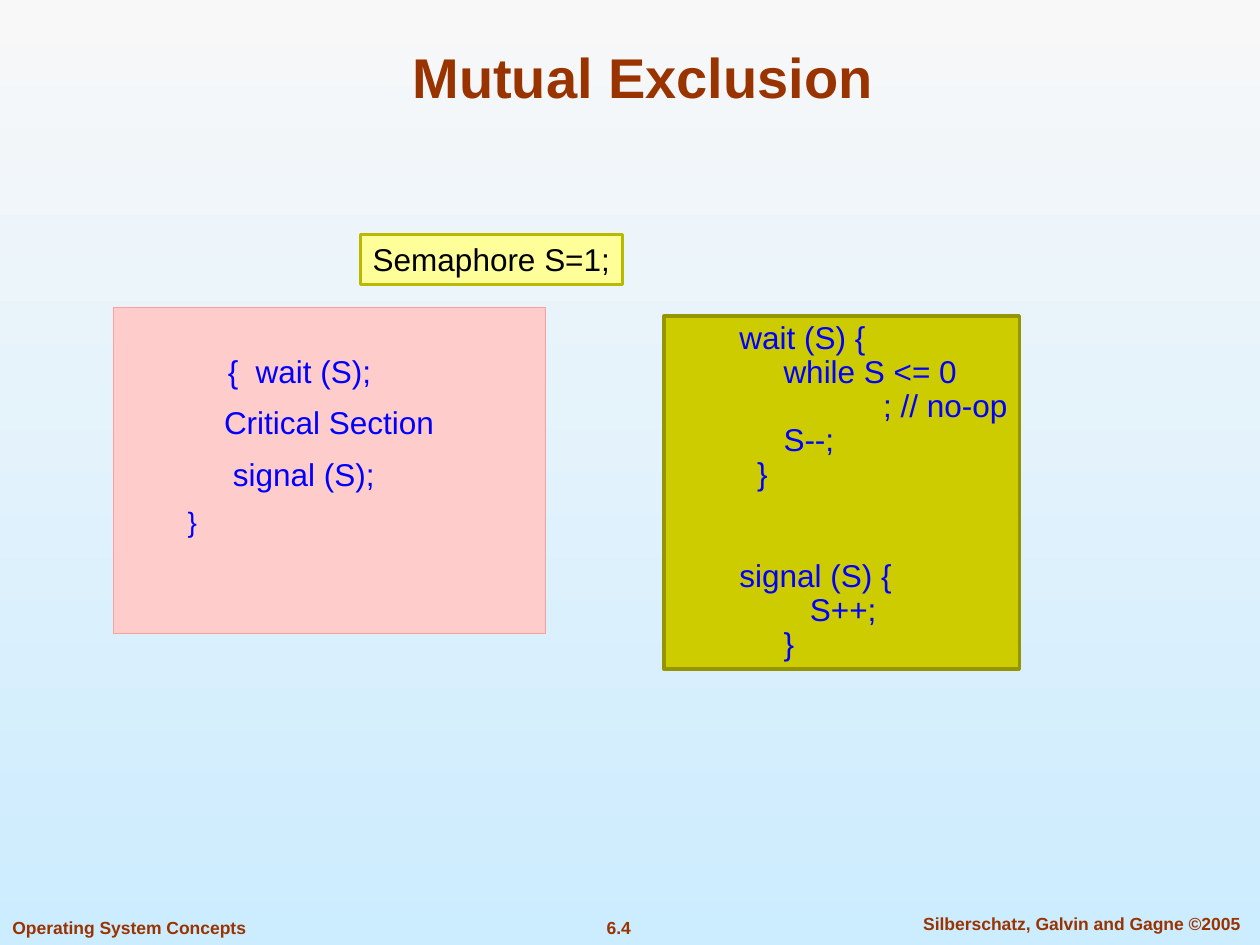
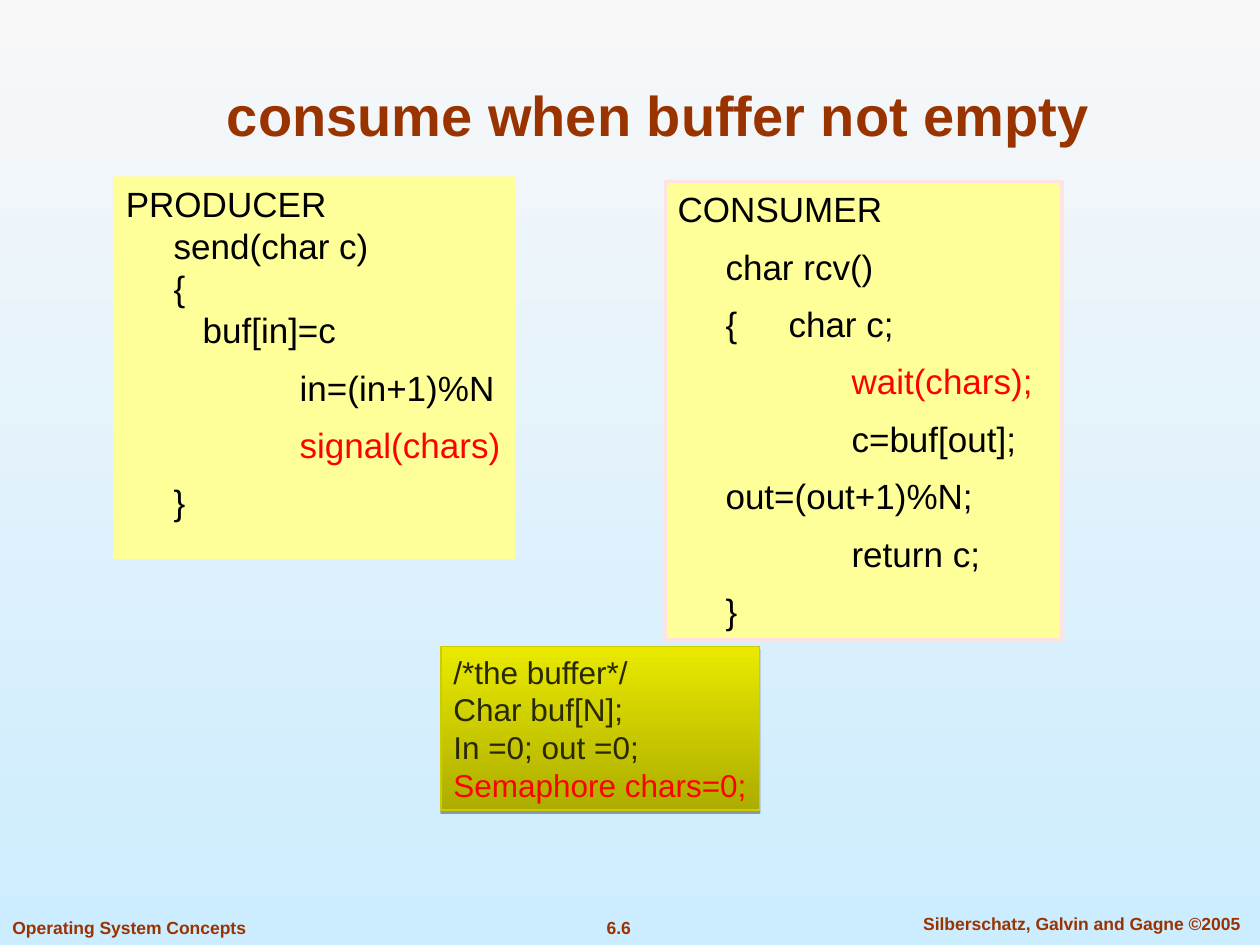
from lxml import etree
from pptx import Presentation
from pptx.dml.color import RGBColor
from pptx.enum.shapes import MSO_SHAPE
from pptx.enum.text import MSO_ANCHOR, PP_ALIGN
from pptx.oxml.ns import qn
from pptx.util import Emu, Inches, Pt

RECT = MSO_SHAPE.RECTANGLE
TOP, BOTTOM = MSO_ANCHOR.TOP, MSO_ANCHOR.BOTTOM
LEFT, CENTER = PP_ALIGN.LEFT, PP_ALIGN.CENTER

THEME = {
    "font": "Arial",
    "sky": ("F8F8F8", "CCECFF"),
    "brown": "993300", "black": "000000", "blue": "0000FF", "red": "FF0000",
    "dark": "292900", "pink": "FFCCCC", "rose": "FF9E9E", "blush": "FFE2E2",
    "yellow": "FFFF99", "mustard": "B9B900", "olive": "CCCC00", "moss": "959500",
    "olive_fade": ("ADAD00", "E9E900"),
    "title": 32, "code": 20, "small_code": 18, "brace": 16, "footer": 10,
}
INSET_X, INSET_Y = 0.1, 0.05
STEP = 0.38           # one code indent, inches
DEEP = 1 + STEP       # indent of a code body
LOOSE = 8.8           # points between spaced code lines

# Content: each line is (text, indent in inches, optional format)
FOOTERS = [
    ("Operating System Concepts", (0, 7.23, 2.05, 0.27), LEFT),
    ("{page}", (4.42, 7.23, 0.98, 0.27), CENTER),
    ("Silberschatz, Galvin and Gagne ©2005", (7.1, 7.2, 2.97, 0.27), CENTER),
]
SPECKS = [(1.29, 0.97), (1.76, 5.42)]

SLIDES = [
    {
        "title": "Mutual Exclusion ", "title_top": 0.25, "page": "6.4", "specks": SPECKS,
        "boxes": [
            {"at": (0.9, 2.44, 3.43, 2.59), "fill": "pink", "line": ("rose", 0.75),
             "color": "blue", "size": "small_code", "before": 7.9, "top": 0.35,
             "lines": [
                 ("{  wait (S);", 0.81),
                 ("Critical Section", 0.78),
                 ("signal (S);", 0.85),
                 ("}", 0.49, {"size": "brace", "before": 7}),
             ]},
            {"at": (2.86, 1.86, 2.08, 0.4), "fill": "yellow", "line": ("mustard", 2),
             "color": "black", "size": "small_code",
             "lines": [("Semaphore S=1;", 0)]},
            {"at": (5.27, 2.51, 2.82, 2.8), "fill": "olive", "line": ("moss", 2),
             "color": "blue", "size": "small_code", "spacing": 0.9,
             "lines": [
                 ("wait (S) {", 0.5),
                 ("while S <= 0", 0.85),
                 ("; // no-op", 1.64),
                 ("S--;", 0.85),
                 ("}", 0.64),
                 ("signal (S) {", 0.5, {"before": 38.9}),
                 ("S++;", 1.06),
                 ("}", 0.85),
             ]},
        ],
    },
    {
        "title": " consume when buffer not empty", "title_top": 0.55, "page": "6.6",
        "specks": SPECKS + [(1.3, 4.6)],
        "boxes": [
            {"at": (0.9, 1.4, 3.19, 3.04), "fill": "yellow",
             "color": "black", "size": "code",
             "lines": [
                 ("PRODUCER", 0),
                 ("send(char c)", STEP),
                 ("{", STEP),
                 ("buf[in]=c", 0.61),
                 ("in=(in+1)%N", DEEP, {"before": LOOSE}),
                 ("signal(chars)", DEEP, {"before": LOOSE, "color": "red"}),
                 ("}", STEP, {"before": LOOSE}),
             ]},
            {"at": (5.28, 1.44, 3.15, 3.64), "fill": "yellow", "line": ("blush", 2),
             "color": "black", "size": "code", "before": LOOSE,
             "lines": [
                 ("CONSUMER", 0),
                 ("char rcv()", STEP),
                 ("{\tchar c;", STEP, {"tab": 1}),
                 ("wait(chars);", DEEP, {"color": "red"}),
                 ("c=buf[out];", DEEP),
                 ("out=(out+1)%N;", STEP),
                 ("return c;", DEEP),
                 ("}", STEP),
             ]},
            {"at": (3.5, 5.13, 2.53, 1.3), "fill": "olive_fade", "line": ("olive", 0.75),
             "color": "dark", "size": "small_code", "shadow": True,
             "lines": [
                 ("/*the buffer*/", 0),
                 ("Char buf[N];", 0),
                 ("In =0; out =0;", 0),
                 ("Semaphore chars=0;", 0, {"color": "red"}),
             ]},
        ],
    },
]


def rgb(name):
    return RGBColor.from_string(THEME[name])


def fill_gradient(fill, colors, angle):
    fill.gradient()
    fill.gradient_angle = angle
    for stop, color in zip(fill.gradient_stops, colors):
        stop.color.rgb = RGBColor.from_string(color)


def write_lines(sp, lines, fmt):
    """Write one paragraph per line; a line's own format overrides the box's."""
    tf = sp.text_frame
    frame = {"word_wrap": True, "vertical_anchor": fmt.get("anchor", TOP),
             "margin_left": Inches(INSET_X), "margin_right": Inches(fmt.get("right", 0)),
             "margin_top": Inches(fmt.get("top", INSET_Y)),
             "margin_bottom": Inches(INSET_Y)}
    for name, value in frame.items():
        setattr(tf, name, value)
    for i, (text, indent, *own) in enumerate(lines):
        f = {**fmt, **(own[0] if own else {})}
        p = tf.paragraphs[0] if i == 0 else tf.add_paragraph()
        para = {"alignment": f.get("align", LEFT), "line_spacing": f.get("spacing", 1.0),
                "space_before": Pt(f.get("before", 0) if i else 0)}
        for name, value in para.items():
            setattr(p, name, value)
        pPr = p._p.get_or_add_pPr()
        pPr.set("marL", str(Inches(indent)))
        pPr.set("indent", "0")
        if "tab" in f:
            tabs = etree.SubElement(pPr, qn("a:tabLst"))
            etree.SubElement(tabs, qn("a:tab"), pos=str(Inches(f["tab"])), algn="l")
        r = p.add_run()
        r.text = text
        font = {"name": THEME["font"], "size": Pt(THEME[f["size"]]),
                "bold": f.get("bold", False)}
        for name, value in font.items():
            setattr(r.font, name, value)
        r.font.color.rgb = rgb(f["color"])


def add_label(s, text, at, **fmt):
    sp = s.shapes.add_textbox(*map(Inches, at))
    write_lines(sp, [(text, 0)], {"color": "brown", "bold": True, **fmt})


def add_drop_shadow(sp):
    effects = sp._element.spPr.find(qn("a:effectLst"))
    shadow = etree.SubElement(effects, qn("a:outerShdw"), blurRad="0",
                              dist=str(Pt(1.8)), dir="5400000", rotWithShape="0")
    color = etree.SubElement(shadow, qn("a:srgbClr"), val=THEME["black"])
    etree.SubElement(color, qn("a:alpha"), val="35000")


def add_code_box(s, box):
    sp = s.shapes.add_shape(RECT, *map(Inches, box["at"]))
    sp.shadow.inherit = False
    if box.get("shadow"):
        add_drop_shadow(sp)
    if isinstance(THEME[box["fill"]], tuple):
        fill_gradient(sp.fill, THEME[box["fill"]], 90)
    else:
        sp.fill.solid()
        sp.fill.fore_color.rgb = rgb(box["fill"])
    if "line" in box:
        color, width = box["line"]
        sp.line.color.rgb = rgb(color)
        sp.line.width = Pt(width)
    else:
        sp.line.fill.background()
    write_lines(sp, box["lines"], box)


def add_speck(s, x, y, size=0.01):
    pen = s.shapes.build_freeform(Inches(x), Inches(y + size))
    pen.add_line_segments([(Inches(x + size), Inches(y))], close=True)
    sp = pen.convert_to_shape(Emu(0), Emu(0))
    sp.shadow.inherit = False
    sp.fill.solid()
    sp.fill.fore_color.rgb = rgb("black")
    sp.line.fill.background()


def build_slide(prs, content):
    s = prs.slides.add_slide(prs.slide_layouts[6])
    fill_gradient(s.background.fill, THEME["sky"], 270)
    # Footer and specks
    for text, at, align in FOOTERS:
        add_label(s, text.format(page=content["page"]), at, size="footer",
                  align=align, right=INSET_X)
    for x, y in content["specks"]:
        add_speck(s, x, y)
    # Title and code
    add_label(s, content["title"], (0.75, content["title_top"], 8.83, 0.67),
              size="title", align=CENTER, anchor=BOTTOM, right=INSET_X)
    for box in content["boxes"]:
        add_code_box(s, box)


def main():
    prs = Presentation()
    prs.slide_width, prs.slide_height = Inches(10), Inches(7.5)
    for content in SLIDES:
        build_slide(prs, content)
    prs.save("out.pptx")


if __name__ == "__main__":
    main()
